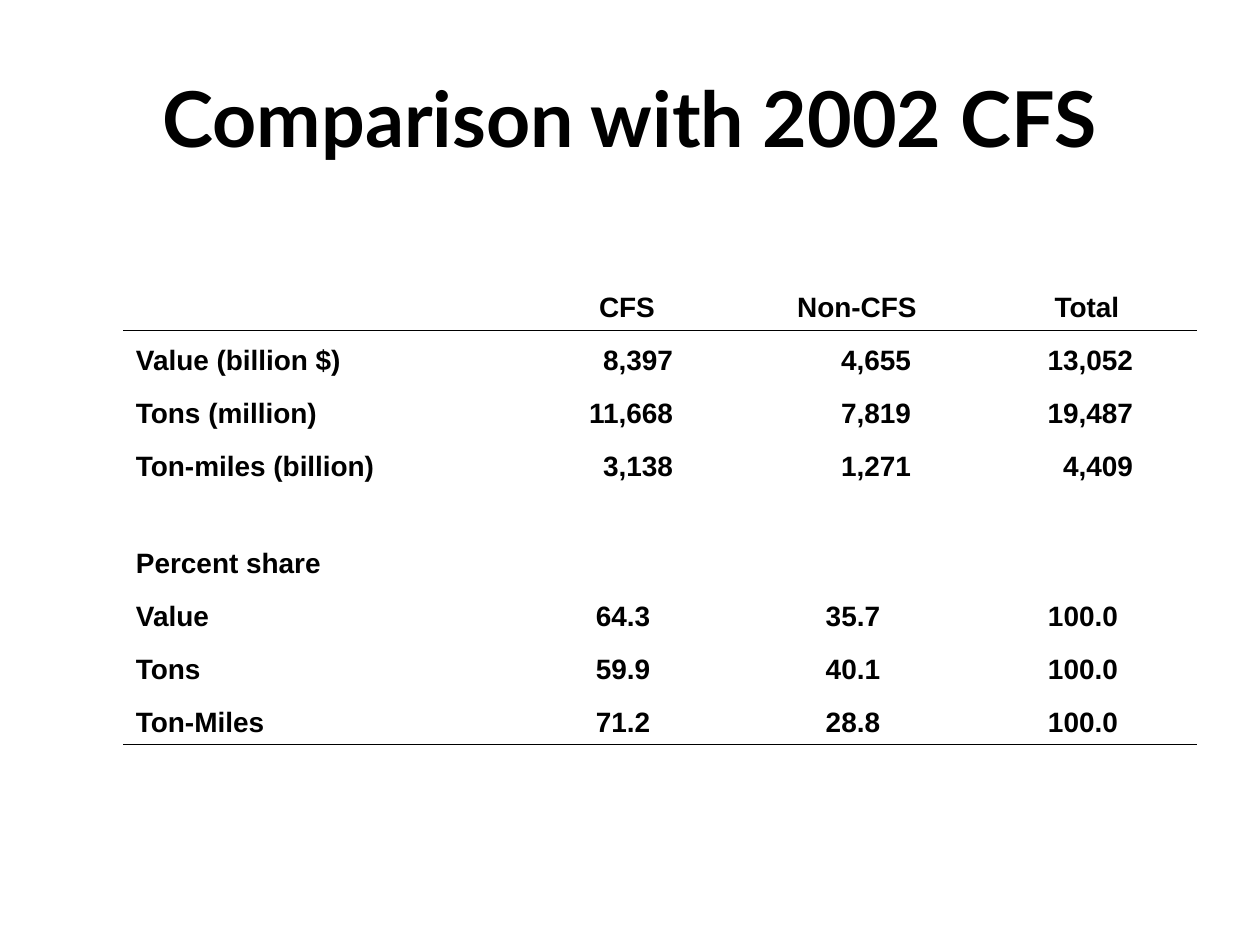
from lxml import etree
from pptx import Presentation
from pptx.dml.color import RGBColor
from pptx.enum.text import MSO_ANCHOR, PP_ALIGN
from pptx.oxml.ns import qn
from pptx.util import Pt

LEFT, CENTER, RIGHT = PP_ALIGN.LEFT, PP_ALIGN.CENTER, PP_ALIGN.RIGHT
MIDDLE, BOTTOM = MSO_ANCHOR.MIDDLE, MSO_ANCHOR.BOTTOM

EMU_PER_PX = 914400 / 126
COLORS = {"text": "000000", "rule": "000000", "background": "FFFFFF"}
RULE_WIDTH = Pt(0.45)

TITLE_BOX = (63, 38, 1134, 157)
TABLE_BOX = (124, 276, 1072, 469)
COLUMN_WIDTHS = [394, 218, 242, 218]
ROW_HEIGHTS = [54, 53, 53, 53, 97, 53, 53, 53]
CELL_MARGIN = 12
COUNT_MARGINS = [0, 63, 67, 63]
SHARE_MARGIN = 20

ROWS = [
    ("", "CFS", "Non-CFS", "Total"),
    ("Value (billion $)", "8,397", "4,655", "13,052"),
    ("Tons (million)", "11,668", "7,819", "19,487"),
    ("Ton-miles (billion)", "3,138", "1,271", "4,409"),
    ("Percent share", "", "", ""),
    ("Value", "64.3", "35.7", "100.0"),
    ("Tons", "59.9", "40.1", "100.0"),
    ("Ton-Miles", "71.2", "28.8", "100.0"),
]
COUNT_ROWS = range(1, 4)
SHARE_ROWS = range(5, 8)
RULES = {0: ["a:lnB"], 1: ["a:lnT"], 7: ["a:lnB"]}


def px(length):
    return round(length * EMU_PER_PX)


def add_run(paragraph, text, font_name, size):
    run = paragraph.add_run()
    run.text = text
    run.font.name = font_name
    run.font.size = Pt(size)
    run.font.bold = True
    run.font.color.rgb = RGBColor.from_string(COLORS["text"])


def add_title(slide, box):
    frame = slide.shapes.add_textbox(*map(px, box)).text_frame
    frame.word_wrap = True
    frame.vertical_anchor = MIDDLE
    paragraph = frame.paragraphs[0]
    paragraph.alignment = CENTER
    add_run(paragraph, "Comparison with 2002 CFS", "Lato", 44)


def add_rule(cell, edge):
    line = etree.SubElement(cell._tc.get_or_add_tcPr(), qn(edge), w=str(RULE_WIDTH))
    fill = etree.SubElement(line, qn("a:solidFill"))
    etree.SubElement(fill, qn("a:srgbClr"), val=COLORS["rule"])


def cell_layout(row, column):
    """Return the alignment and right margin of a cell."""
    if column == 0:
        return LEFT, CELL_MARGIN
    if row in COUNT_ROWS:
        return RIGHT, COUNT_MARGINS[column]
    return CENTER, SHARE_MARGIN if row in SHARE_ROWS else CELL_MARGIN


def fill_cell(cell, text, row, column):
    for edge in RULES.get(row, []):
        add_rule(cell, edge)
    cell.fill.background()
    cell.vertical_anchor = BOTTOM
    alignment, right_margin = cell_layout(row, column)
    cell.margin_left = px(CELL_MARGIN)
    cell.margin_right = px(right_margin)
    if text:
        paragraph = cell.text_frame.paragraphs[0]
        paragraph.alignment = alignment
        add_run(paragraph, text, "Arial", 16)


def add_comparison_table(slide, box):
    table = slide.shapes.add_table(len(ROWS), len(COLUMN_WIDTHS), *map(px, box)).table
    table.first_row = False
    table.horz_banding = False
    for column, width in zip(table.columns, COLUMN_WIDTHS):
        column.width = px(width)
    for row, height in zip(table.rows, ROW_HEIGHTS):
        row.height = px(height)
    for row, texts in enumerate(ROWS):
        for column, text in enumerate(texts):
            fill_cell(table.cell(row, column), text, row, column)


def main():
    presentation = Presentation()
    presentation.slide_width = px(1260)
    presentation.slide_height = px(945)
    slide = presentation.slides.add_slide(presentation.slide_layouts[6])
    slide.background.fill.solid()
    slide.background.fill.fore_color.rgb = RGBColor.from_string(COLORS["background"])
    add_title(slide, TITLE_BOX)
    add_comparison_table(slide, TABLE_BOX)
    presentation.save("out.pptx")


if __name__ == "__main__":
    main()
